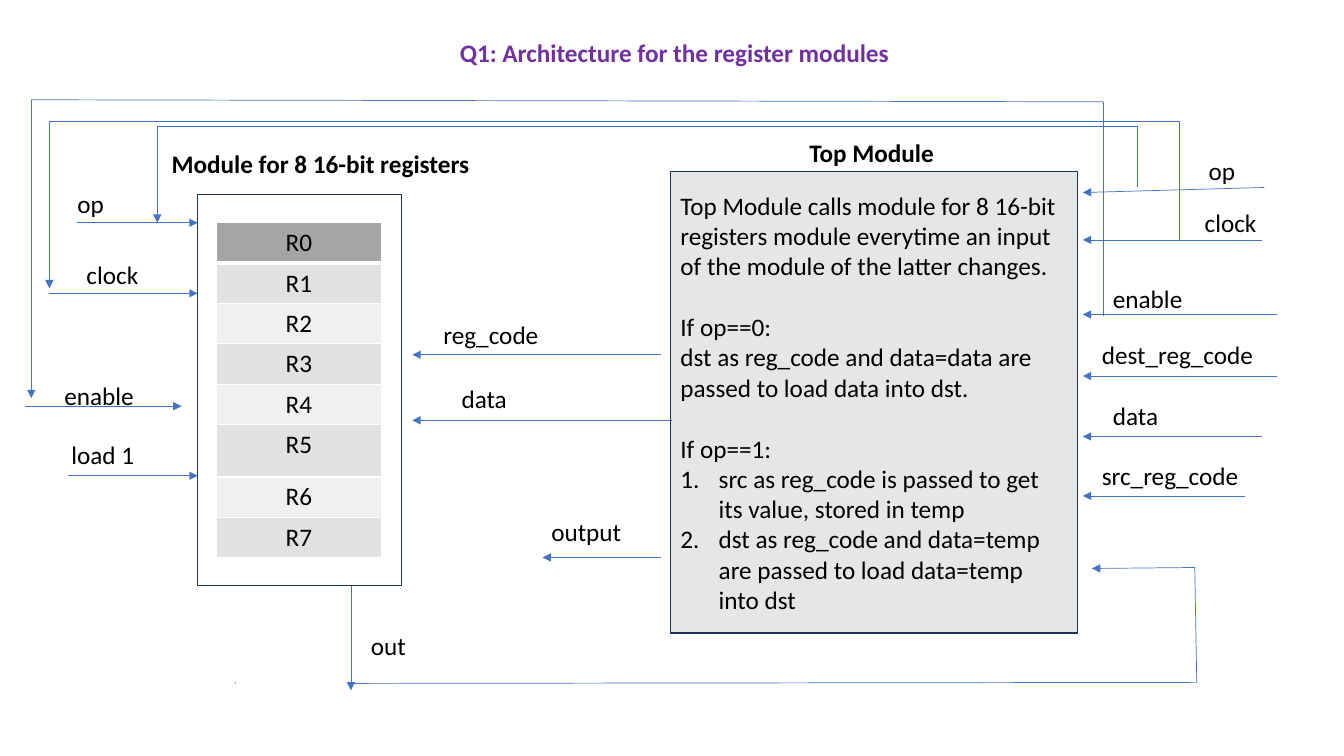
from lxml import etree
from pptx import Presentation
from pptx.dml import color
from pptx.enum import shapes, text
from pptx.oxml import ns
from pptx.util import Inches, Pt

HUES = {"ink": "000000", "title": "7030A0", "wire": "4472C4", "edge": "1E3256",
        "panel": "E7E6E6", "head": "A5A5A5", "odd": "E1E1E1", "even": "F0F0F0",
        "white": "FFFFFF"}
LEFT, MID = text.PP_ALIGN.LEFT, text.PP_ALIGN.CENTER


def hue(name):
    """Return the named colour."""
    return color.RGBColor.from_string(HUES[name])


def style(frame, align=LEFT, bold=False, tint="ink"):
    """Format every run of a text frame."""
    for para in frame.paragraphs:
        para.alignment = align
        for run in para.runs:
            font = run.font
            font.name, font.size, font.bold = "Calibri", Pt(18), bold
            font.color.rgb = hue(tint)


def label(slide, words, x, y, w, align=LEFT, bold=False):
    """Add a one-line label."""
    box = slide.shapes.add_textbox(Inches(x), Inches(y), Inches(w), Inches(0.4))
    frame = box.text_frame
    frame.word_wrap = True
    frame.auto_size = text.MSO_AUTO_SIZE.SHAPE_TO_FIT_TEXT
    frame.text = words
    style(frame, align, bold)


def wire(slide, *points, arrow=True):
    """Join points with thin lines, with an arrowhead at the last one."""
    for i, (start, end) in enumerate(zip(points, points[1:]), 2):
        line = slide.shapes.add_connector(
            shapes.MSO_CONNECTOR.STRAIGHT, *map(Inches, start + end))
        line.line.color.rgb = hue("wire")
        line.line.width = Pt(0.5)
        if arrow and i == len(points):
            etree.SubElement(line.line._get_or_add_ln(), ns.qn("a:tailEnd"), type="triangle")
        etree.SubElement(line._element.spPr, ns.qn("a:effectLst"))


def panel(slide, box, fill=None):
    """Add an outlined rectangle and return it."""
    rect = slide.shapes.add_shape(shapes.MSO_SHAPE.RECTANGLE, *map(Inches, box))
    rect.shadow.inherit = False
    if fill:
        rect.fill.solid()
        rect.fill.fore_color.rgb = hue(fill)
    else:
        rect.fill.background()
    rect.line.color.rgb = hue("edge")
    rect.line.width = Pt(1)
    return rect


def border(cell, width):
    """Draw white borders round a cell, the lower one of the given width."""
    props = cell._tc.get_or_add_tcPr()
    for i, side in enumerate(("lnL", "lnR", "lnT", "lnB")):
        size = width if side == "lnB" else 1
        edge = etree.Element(ns.qn("a:" + side), w=str(Pt(size)))
        fill = etree.SubElement(edge, ns.qn("a:solidFill"))
        etree.SubElement(fill, ns.qn("a:srgbClr"), val=HUES["white"])
        props.insert(i, edge)


def heading(slide, box):
    """Fill the title placeholder."""
    title = slide.shapes.title
    title.left, title.top, title.width, title.height = map(Inches, box)
    frame = title.text_frame
    frame.text = "Q1: Architecture for the register modules"
    frame.auto_size = text.MSO_AUTO_SIZE.NONE
    frame.vertical_anchor = text.MSO_ANCHOR.TOP
    style(frame, MID, True, "title")


def bank(slide, box):
    """Draw the register module with its table, inputs and output."""
    x, y, w, h = box
    label(slide, "Module for 8 16-bit registers", x - 0.5, y - 0.51, 3.44, MID, True)
    grid = slide.shapes.add_table(
        8, 1, Inches(x + 0.19), Inches(y + 0.28), Inches(1.63), Inches(3.32)).table
    for i, row in enumerate(grid.rows):
        row.height = Inches(0.52 if i == 5 else 0.4)
        cell = row.cells[0]
        cell.text_frame.text = f"R{i}"
        style(cell.text_frame, MID)
        cell.fill.solid()
        cell.fill.fore_color.rgb = hue("head" if i == 0 else "odd" if i % 2 else "even")
        border(cell, 1 if i else 3)
    panel(slide, box)
    inputs = [("op", -1.2, 0, 0.28, -1.29, -0.11),
              ("clock", -1.47, 0, 0.98, -1.2, 0.59),
              ("enable", -1.71, -0.16, 2.1, -1.42, 1.79),
              ("load 1", -1.29, 0, 2.79, -1.35, 2.38)]
    for name, tail, tip, row, left, top in inputs:
        wire(slide, (x + tail, y + row), (x + tip, y + row))
        label(slide, name, x + left, y + top, 1.07)
    wire(slide, (x + 1.52, y + h), (x + 1.52, y + h + 1.04))
    label(slide, "out", x + 1.62, y + h + 0.39, 2.1)


def notes(frame):
    """Write the rules of the top module."""
    frame.word_wrap = True
    frame.vertical_anchor = text.MSO_ANCHOR.MIDDLE
    frame.text = "\n".join([
        "Top Module calls module for 8 16-bit registers module everytime "
        "an input of the module of the latter changes.",
        "If op==0:",
        "dst as reg_code and data=data are passed to load data into dst.",
        "If op==1:",
        "src as reg_code is passed to get its value, stored in temp",
        "dst as reg_code and data=temp are passed to load data=temp into dst"])
    style(frame)
    for para in frame.paragraphs:
        if para.text.startswith("If"):
            para.space_before = Pt(22)
    for para in frame.paragraphs[-2:]:
        props = para._p.get_or_add_pPr()
        props.set("marL", str(Inches(0.38)))
        props.set("indent", str(Inches(-0.38)))
        etree.SubElement(props, ns.qn("a:buAutoNum"), type="arabicPeriod")


def top(slide, box):
    """Draw the top module with its rules, inputs and outputs."""
    x, y, w, h = box
    notes(panel(slide, box, "panel").text_frame)
    label(slide, "Top Module", x + 0.71, y - 0.39, 2.57, MID, True)
    edge = x + w
    inputs = [("op", 1.85, 0.16, 0.21, 1.2, -0.21),
              ("clock", 1.83, 0.68, 0.68, 1.16, 0.31),
              ("enable", 1.98, 1.42, 1.42, 0.25, 1.06),
              ("dest_reg_code", 1.98, 2.03, 2.03, 0.14, 1.62),
              ("data", 1.83, 2.63, 2.63, 0.25, 2.22),
              ("src_reg_code", 1.66, 3.22, 3.22, 0.14, 2.82)]
    for name, tail, start, end, left, rise in inputs:
        wire(slide, (edge + tail, y + start), (edge + 0.05, y + end))
        label(slide, name, edge + left, y + rise, 1.74)
    outputs = [("reg_code", -0.09, -2.56, 1.82, -2.35, 1.42),
               ("data", 0.02, -2.56, 2.47, -2.17, 2.05),
               ("output", -0.09, -1.27, 3.83, -1.28, 3.37)]
    for name, tail, tip, row, left, rise in outputs:
        wire(slide, (x + tail, y + row), (x + tip, y + row))
        label(slide, name, x + left, y + rise, 1.73)


def loops(slide, box):
    """Draw the long wires that run round both modules."""
    x, y, w, h = box
    right, base = x + w, y + h
    wire(slide, (right - 0.61, y + 0.87), (right - 0.61, y + 0.26),
         (x + 1.25, y + 0.26), (x + 1.25, y + 1.22))
    wire(slide, (right - 0.19, y + 1.39), (right - 0.19, y + 0.21),
         (x + 0.18, y + 0.21), (x + 0.18, y + 1.87))
    wire(slide, (right - 0.95, y + 2.15), (right - 0.95, y + 0.02),
         (x, y), (x, y + 2.96))
    wire(slide, (x + 3.16, base), (right - 0.02, base - 0.01),
         (right - 0.04, base - 1.15), (right - 1.06, base - 1.14))
    wire(slide, (x + 2.02, base - 0.01), (x + 2.03, base), arrow=False)


def main():
    """Build and save the slide."""
    deck = Presentation()
    deck.slide_width, deck.slide_height = Inches(13.33), Inches(7.5)
    slide = deck.slides.add_slide(deck.slide_layouts[5])
    heading(slide, (2.33, 0.32, 8.72, 0.4))
    bank(slide, (1.96, 1.93, 2.02, 3.88))
    top(slide, (6.65, 1.7, 4.04, 4.58))
    loops(slide, (0.31, 0.99, 11.58, 5.79))
    deck.save("out.pptx")


if __name__ == "__main__":
    main()
